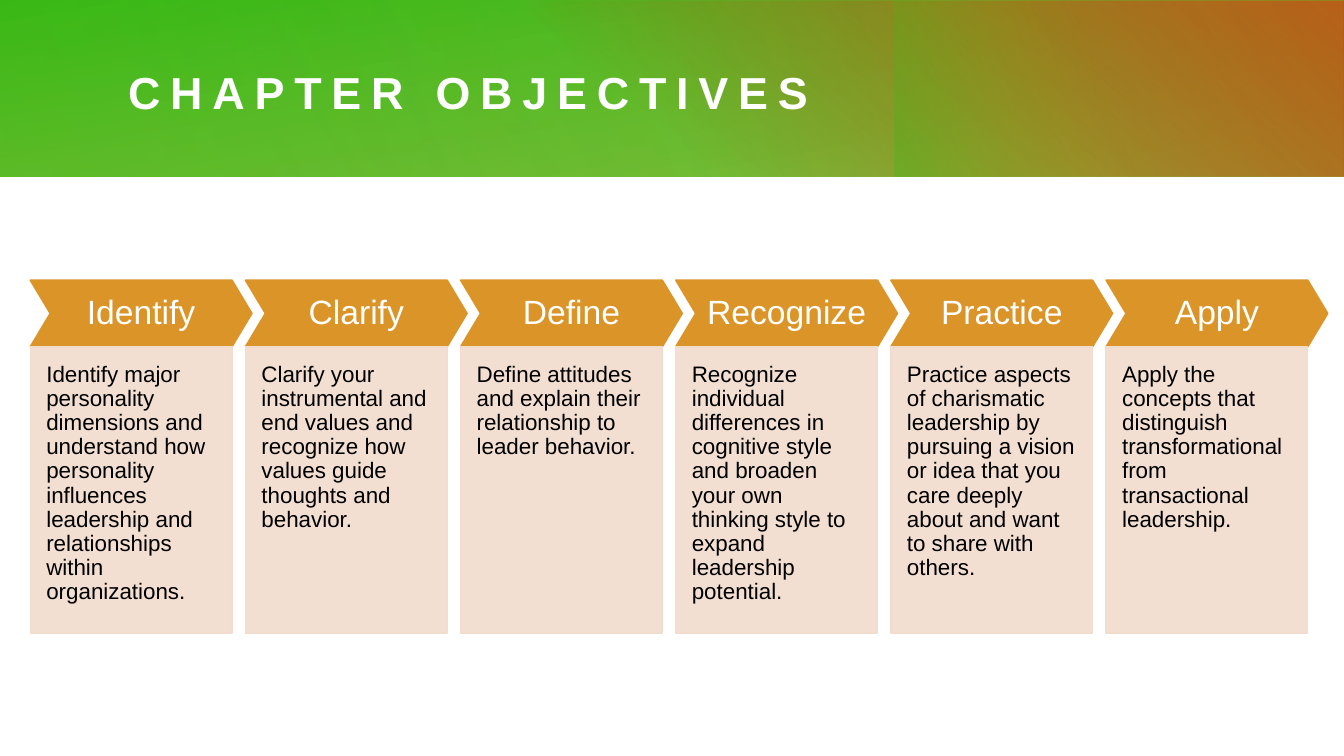
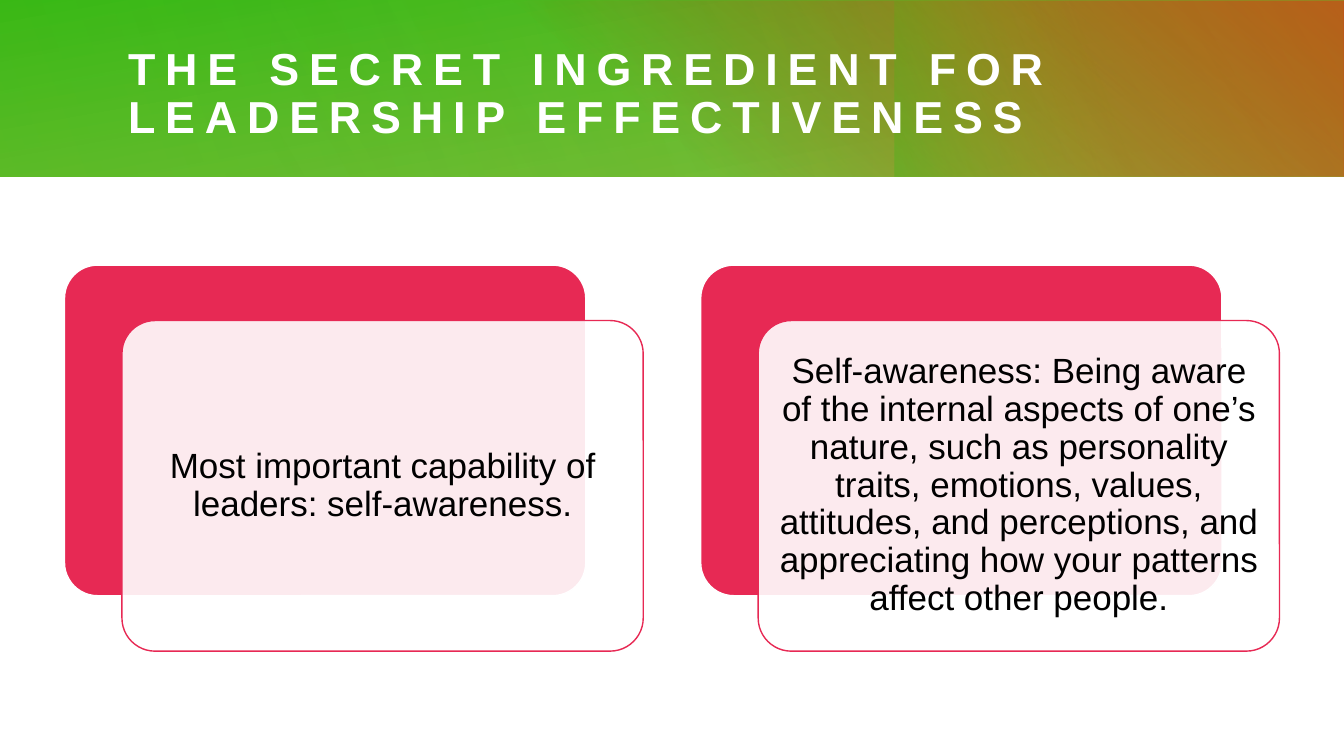
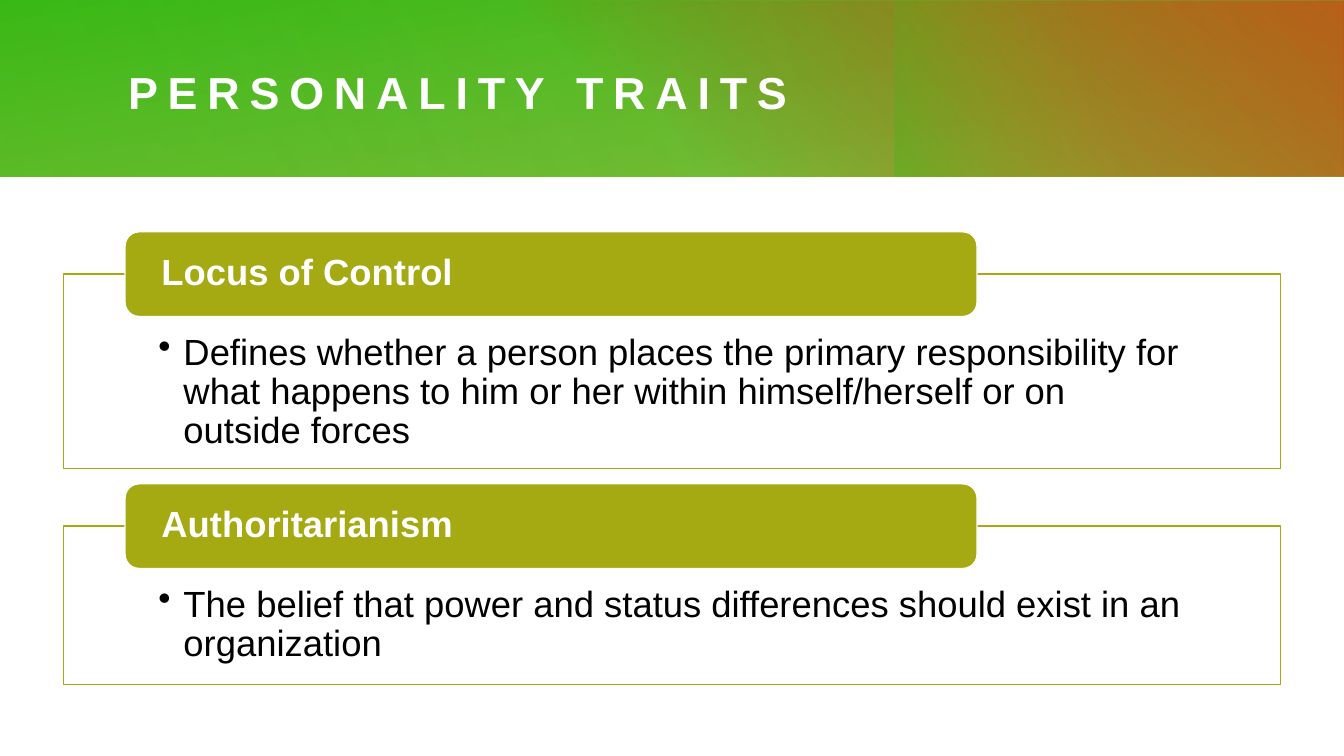
from pptx import Presentation
from pptx.dml.color import RGBColor
from pptx.enum.shapes import MSO_SHAPE
from pptx.enum.text import MSO_ANCHOR, MSO_AUTO_SIZE, PP_ALIGN
from pptx.oxml.ns import qn
from pptx.util import Inches, Pt

RECTANGLE = MSO_SHAPE.RECTANGLE
ROUNDED = MSO_SHAPE.ROUNDED_RECTANGLE
CHEVRON = MSO_SHAPE.CHEVRON
TOP, MIDDLE = MSO_ANCHOR.TOP, MSO_ANCHOR.MIDDLE
LEFT, CENTER = PP_ALIGN.LEFT, PP_ALIGN.CENTER
NO_AUTOFIT = MSO_AUTO_SIZE.NONE

FONT = "Arial"
TITLE_ONLY = 5
COLORS = {
    "white": "FFFFFF",
    "black": "000000",
    "lime": "72B420",
    "green": "2CBB14",
    "rust": "D53C17",
    "olive": "A5A912",
    "amber": "DA9427",
    "sand": "F1DCCD",
    "crimson": "E72954",
}

# Each layer: box, rotation, clockwise angle, (position, colour, opacity) stops
BAND_LAYERS = [
    ((0, 0, 13.33, 1.75), 0, 260, ((0, "lime", 83), (100, "green", 100))),
    ((4.81, 0.01, 8.52, 1.74), 0, 310, ((22, "rust", 0), (99, "rust", 100))),
    ((9.87, -0.99, 1.75, 3.74), 270, 250, ((45, "olive", 0), (99, "green", 33))),
    ((2.68, 0, 10.64, 1.75), 180, 330, ((0, "lime", 30), (99, "lime", 0))),
    ((0, 0, 8.65, 1.75), 0, 340, ((0, "lime", 21), (99, "lime", 0))),
]

OBJECTIVES = [
    ("Identify", "Identify major personality dimensions and understand how personality "
     "influences leadership and relationships within organizations."),
    ("Clarify", "Clarify your instrumental and end values and recognize how values "
     "guide thoughts and behavior."),
    ("Define", "Define attitudes and explain their relationship to leader behavior."),
    ("Recognize", "Recognize individual differences in cognitive style and broaden "
     "your own thinking style to expand leadership potential."),
    ("Practice", "Practice aspects of charismatic leadership by pursuing a vision or "
     "idea that you care deeply about and want to share with others."),
    ("Apply", "Apply the concepts that distinguish transformational from "
     "transactional leadership."),
]

INGREDIENTS = [
    "Most important capability of leaders: self-awareness.",
    "Self-awareness: Being aware of the internal aspects of one’s nature, such as "
    "personality traits, emotions, values, attitudes, and perceptions, and "
    "appreciating how your patterns affect other people.",
]

TRAITS = [
    ("Locus of Control", 2.3, 1.93,
     "Defines whether a person places the primary responsibility for what happens "
     "to him or her within himself/herself or on outside forces"),
    ("Authoritarianism", 4.8, 1.57,
     "The belief that power and status differences should exist in an organization"),
]


def rgb(color):
    return RGBColor.from_string(COLORS[color])


def set_opacity(color_element, percent):
    if percent < 100:
        alpha = color_element.makeelement(qn("a:alpha"), {"val": str(percent * 1000)})
        color_element.append(alpha)


def add_preset(slide, preset, box, corner=None):
    shape = slide.shapes.add_shape(preset, *map(Inches, box))
    shape.shadow.inherit = False
    if corner is not None:
        shape.adjustments[0] = corner
    return shape


def add_card(slide, preset, box, fill, line, corner=None, opacity=100):
    card = add_preset(slide, preset, box, corner)
    card.fill.solid()
    card.fill.fore_color.rgb = rgb(fill)
    set_opacity(next(card._element.spPr.iter(qn("a:srgbClr"))), opacity)
    card.line.color.rgb = rgb(line)
    card.line.width = Pt(1)
    return card


def write(shape, text, size, color, insets, align=LEFT, anchor=MIDDLE, bold=False):
    frame = shape.text_frame
    frame.text = text
    frame.word_wrap = True
    frame.auto_size = NO_AUTOFIT
    frame.vertical_anchor = anchor
    (frame.margin_left, frame.margin_top,
     frame.margin_right, frame.margin_bottom) = map(Inches, insets)
    paragraph = frame.paragraphs[0]
    paragraph.alignment = align
    paragraph.line_spacing = 0.9
    run = paragraph.runs[0]
    run.font.name = FONT
    run.font.size = Pt(size)
    run.font.bold = bold
    run.font.color.rgb = rgb(color)
    return run


def add_bullet(paragraph):
    properties = paragraph._p.get_or_add_pPr()
    indent = Inches(0.25)
    properties.set("marL", str(indent))
    properties.set("indent", str(-indent))
    properties.append(properties.makeelement(qn("a:buChar"), {"char": "•"}))


def add_band(slide):
    for box, rotation, angle, stops in BAND_LAYERS:
        layer = add_preset(slide, RECTANGLE, box)
        layer.rotation = rotation
        layer.line.fill.background()
        layer.fill.gradient()
        layer.fill.gradient_angle = 360 - angle
        for stop, (position, color, _) in zip(layer.fill.gradient_stops, stops):
            stop.position = position / 100
            stop.color.rgb = rgb(color)
        color_elements = list(layer._element.spPr.iter(qn("a:srgbClr")))
        for color_element, (_, _, opacity) in zip(color_elements, stops):
            set_opacity(color_element, opacity)


def add_titled_slide(deck, heading):
    slide = deck.slides.add_slide(deck.slide_layouts[TITLE_ONLY])
    add_band(slide)
    title = slide.shapes.title
    slide.shapes._spTree.append(title._element)
    title.left, title.top, title.width, title.height = map(
        Inches, (1.27, 0.41, 11.35, 1.06))
    run = write(title, heading, 32, "white", (0, 0, 0, 0), bold=True)
    run._r.get_or_add_rPr().set("spc", "700")
    return slide


def add_objectives(slide):
    first_left, last_left = 0.3, 10.97
    step = (last_left - first_left) / (len(OBJECTIVES) - 1)
    for index, (verb, objective) in enumerate(OBJECTIVES):
        left = first_left + index * step
        arrow = add_card(slide, CHEVRON, (left, 2.78, 2.2, 0.66), "amber", "amber", 0.3)
        write(arrow, verb, 24, "white", (0.08,) * 4, CENTER)
        detail = add_card(slide, RECTANGLE, (left, 3.44, 2, 2.84), "sand", "sand",
                          opacity=90)
        write(detail, objective, 16, "black", (0.16, 0.16, 0.16, 0.32), anchor=TOP)


def add_ingredients(slide):
    width, height = 5.17, 3.28
    for index, ingredient in enumerate(INGREDIENTS):
        left = 0.64 + index * 6.31
        add_card(slide, ROUNDED, (left, 2.63, width, height), "crimson", "white", 0.1)
        front = add_card(slide, ROUNDED, (left + 0.57, 3.18, width, height),
                         "white", "crimson", 0.1, opacity=90)
        write(front, ingredient, 25, "black", (0.1,) * 4, CENTER)


def add_traits(slide):
    for trait, top, height, definition in TRAITS:
        panel = add_card(slide, RECTANGLE, (0.63, top + 0.42, 12.07, height),
                         "white", "olive", opacity=90)
        write(panel, definition, 26, "black", (0.94, 0.59, 0.94, 0.2), anchor=TOP)
        add_bullet(panel.text_frame.paragraphs[0])
        label = add_card(slide, ROUNDED, (1.24, top, 8.45, 0.84), "olive", "white")
        write(label, trait, 26, "white", (0.32, 0, 0.32, 0), bold=True)


def main():
    deck = Presentation()
    deck.slide_width, deck.slide_height = Inches(13.33), Inches(7.5)
    add_objectives(add_titled_slide(deck, "CHAPTER OBJECTIVES"))
    add_ingredients(add_titled_slide(
        deck, "THE SECRET INGREDIENT FOR LEADERSHIP EFFECTIVENESS"))
    add_traits(add_titled_slide(deck, "PERSONALITY TRAITS"))
    deck.save("out.pptx")


if __name__ == "__main__":
    main()
